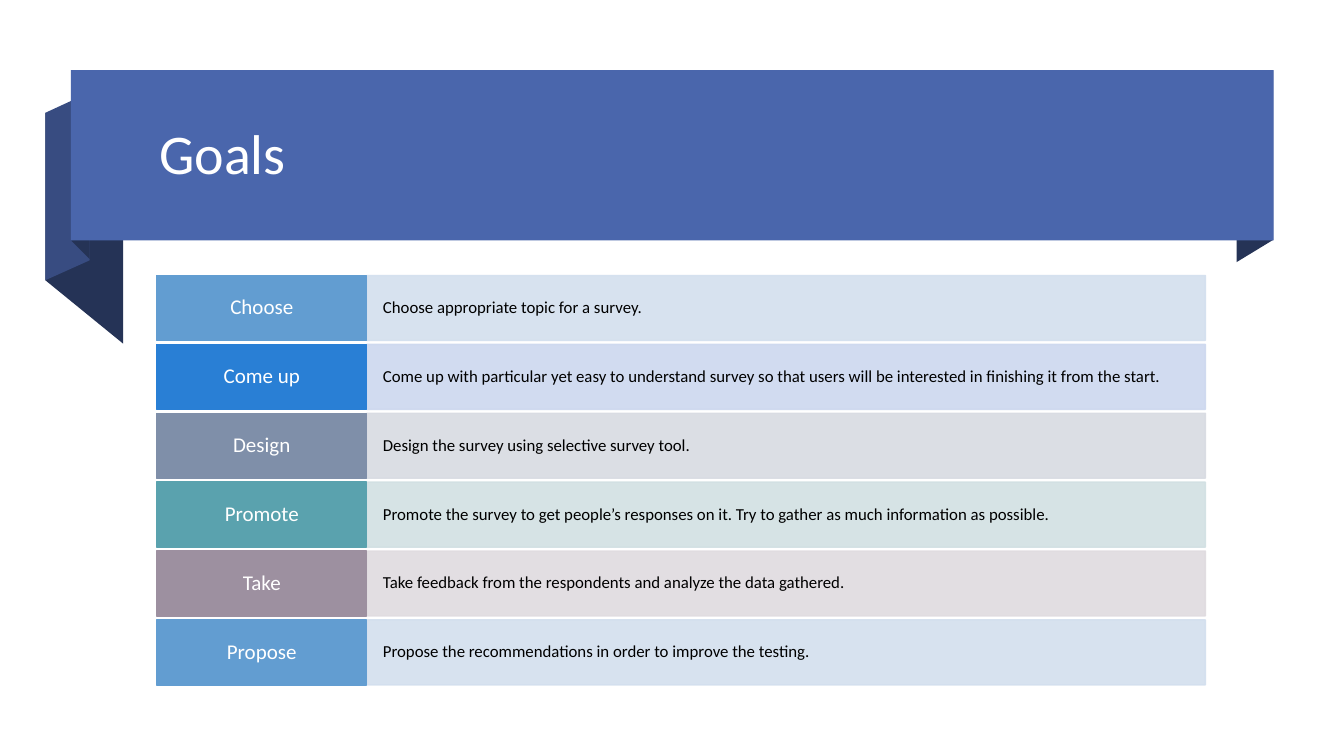
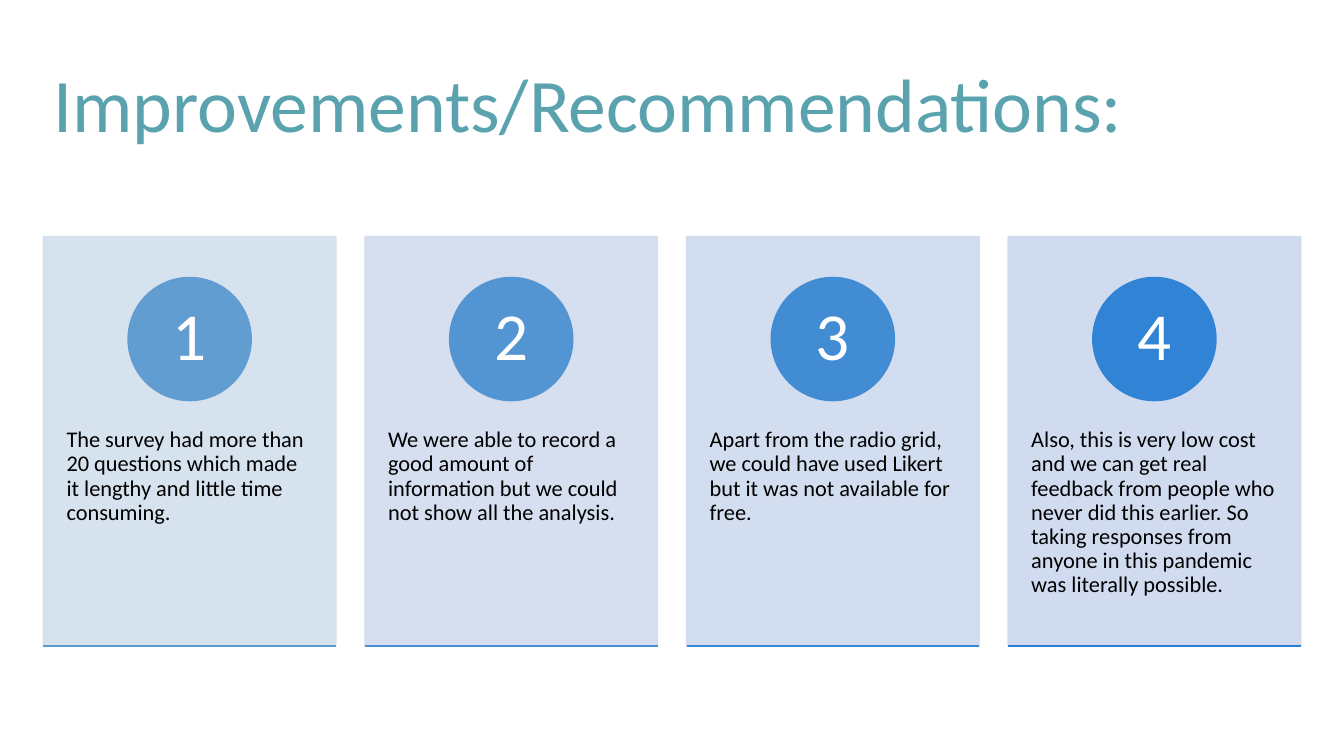
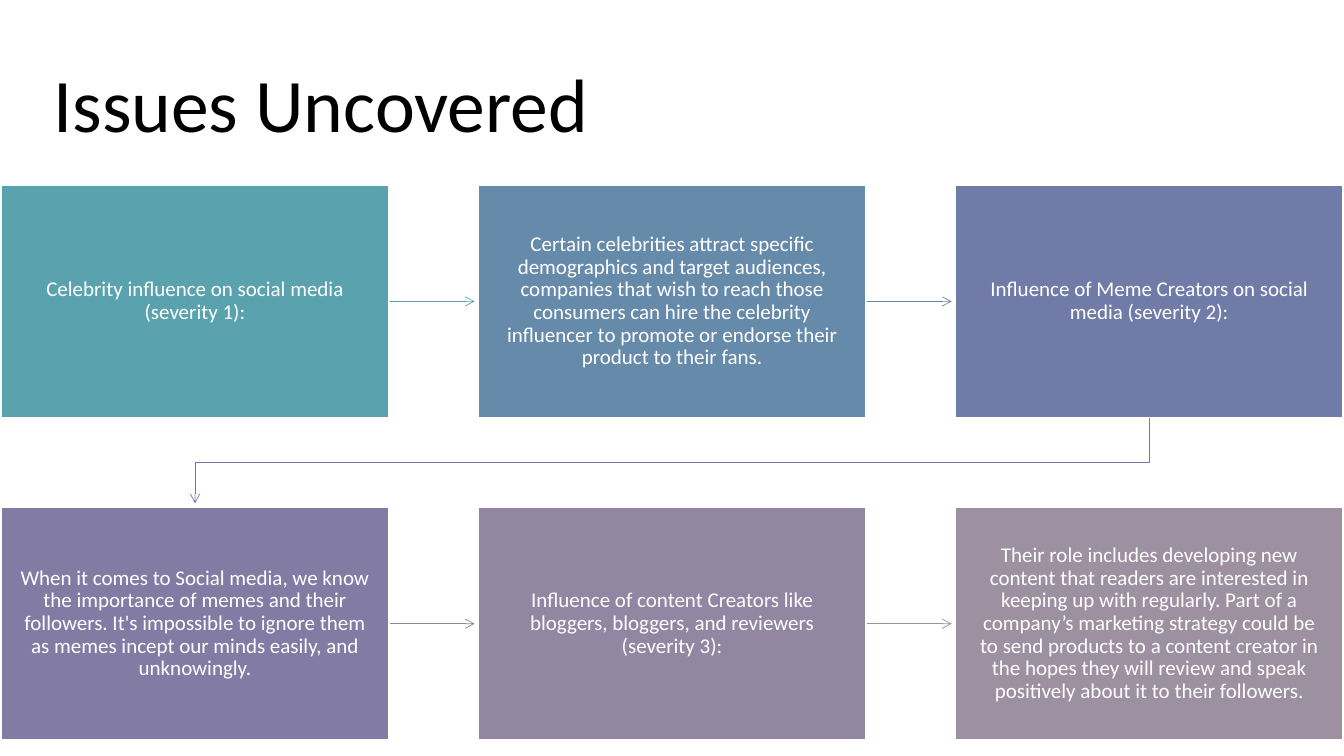
from lxml import etree
from pptx import Presentation
from pptx.dml import color as dml
from pptx.enum import shapes, text
from pptx.oxml import ns
from pptx.util import Pt

HUES = {
    "white": "FFFFFF", "black": "000000",
    "bar": "4A66AC", "fold": "384C81", "dark": "253356",
    "sky": "629DD1", "blue": "297FD5", "slate": "7F8FA9",
    "teal": "5AA2AE", "mauve": "9D90A0",
    "pale sky": "D3DFEE", "pale blue": "CDD8EF", "pale slate": "D8DBE2",
    "pale teal": "D2E0E3", "pale mauve": "DFDBDF",
    "pale two": "D1DCEE", "pale three": "CFDAEF",
    "disc two": "5295D2", "disc three": "428CD3", "disc four": "3184D5",
    "base one": "5A99D1", "base two": "4A91D2", "base three": "3A88D4",
    "step two": "668AAA", "step three": "717BA7",
    "step four": "827CA4", "step five": "9386A2",
    "link two": "6885AA", "link three": "7677A6", "link four": "9083A3",
}
FONT = "Calibri"
RIBBON = [
    ("dark", [(909.4, 171.4), (883.4, 187.2), (883.4, 65.5), (909.4, 50.4)]),
    ("dark", [(88, 245.5), (32.4, 200.2), (32.4, 80.6), (88, 126)]),
    ("fold", [(64, 186), (32.4, 200.2), (32.4, 80.6), (64, 66)]),
    ("dark", [(64, 185), (51, 172), (51, 50.4), (64, 64)]),
]
GOALS = [
    ("Choose", "Choose appropriate topic for a survey.", "sky"),
    ("Come up", "Come up with particular yet easy to understand survey so that users "
     "will be interested in finishing it from the start.", "blue"),
    ("Design", "Design the survey using selective survey tool.", "slate"),
    ("Promote", "Promote the survey to get people’s responses on it. Try to gather "
     "as much information as possible.", "teal"),
    ("Take", "Take feedback from the respondents and analyze the data gathered.", "mauve"),
    ("Propose", "Propose the recommendations in order to improve the testing.", "sky"),
]
CARDS = [
    ("The survey had more than 20 questions which made it lengthy and little time "
     "consuming.", "pale sky", "sky", "base one"),
    ("We were able to record a good amount of information but we could not show all "
     "the analysis.", "pale two", "disc two", "base two"),
    ("Apart from the radio grid, we could have used Likert but it was not available "
     "for free.", "pale three", "disc three", "base three"),
    ("Also, this is very low cost and we can get real feedback from people who never "
     "did this earlier. So taking responses from anyone in this pandemic was literally "
     "possible.", "pale blue", "disc four", "blue"),
]
STEPS = [
    ("Celebrity influence on social media (severity 1):", "teal", "teal"),
    ("Certain celebrities attract specific demographics and target audiences, companies "
     "that wish to reach those consumers can hire the celebrity influencer to promote or "
     "endorse their product to their fans.", "step two", "link two"),
    ("Influence of Meme Creators on social media (severity 2):", "step three", "link three"),
    ("When it comes to Social media, we know the importance of memes and their followers. "
     "It's impossible to ignore them as memes incept our minds easily, and unknowingly.",
     "step four", "link four"),
    ("Influence of content Creators like bloggers, bloggers, and reviewers (severity 3):",
     "step five", "mauve"),
    ("Their role includes developing new content that readers are interested in keeping up "
     "with regularly. Part of a company’s marketing strategy could be to send products to a "
     "content creator in the hopes they will review and speak positively about it to their "
     "followers.", "mauve", None),
]


def shade(name):
    return dml.RGBColor.from_string(HUES[name])


def write(frame, words, size, hue="white", align="LEFT", anchor="MIDDLE",
          pad=(7.2, 3.6, 7.2, 3.6)):
    frame.word_wrap = True
    frame.auto_size = text.MSO_AUTO_SIZE.NONE
    frame.vertical_anchor = getattr(text.MSO_ANCHOR, anchor)
    frame.margin_left, frame.margin_top, frame.margin_right, frame.margin_bottom = map(Pt, pad)
    para = frame.paragraphs[0]
    para.alignment = getattr(text.PP_ALIGN, align)
    para.line_spacing = 0.9
    run = para.add_run()
    run.text = words
    run.font.name = FONT
    run.font.size = Pt(size)
    run.font.color.rgb = shade(hue)


def paint(shape, fill, edge=None, clear=False):
    shape.shadow.inherit = False
    shape.fill.solid()
    shape.fill.fore_color.rgb = shade(fill)
    if edge:
        shape.line.color.rgb = shade(edge)
        shape.line.width = Pt(1)
    else:
        shape.line.fill.background()
    if clear:
        for tone in shape.element.spPr.iter(ns.qn("a:srgbClr")):
            etree.SubElement(tone, ns.qn("a:alpha"), val="90000")


def block(slide, kind, box, fill, edge=None, clear=False):
    shape = slide.shapes.add_shape(getattr(shapes.MSO_SHAPE, kind), *map(Pt, box))
    paint(shape, fill, edge, clear)
    return shape


def trace(slide, spots, close):
    spots = [(Pt(x), Pt(y)) for x, y in spots]
    pen = slide.shapes.build_freeform(*spots[0])
    pen.add_line_segments(spots[1:], close=close)
    return pen.convert_to_shape()


def stroke(shape, hue, width, arrow=False):
    shape.line.color.rgb = shade(hue)
    shape.line.width = Pt(width)
    if arrow:
        line = shape.element.spPr.find(ns.qn("a:ln"))
        etree.SubElement(line, ns.qn("a:tailEnd"), type="arrow")


def rule(slide, start, end, hue, width, arrow=False):
    line = slide.shapes.add_connector(shapes.MSO_CONNECTOR.STRAIGHT, *map(Pt, start + end))
    stroke(line, hue, width, arrow)
    etree.SubElement(line.element.spPr, ns.qn("a:effectLst"))


def bend(slide, spots, hue):
    line = trace(slide, spots, False)
    line.shadow.inherit = False
    line.fill.background()
    stroke(line, hue, 0.5, True)


def begin(deck, words, hue, size=54, box=(31, 25.2, 898.6, 104.4), bands=()):
    slide = deck.slides.add_slide(deck.slide_layouts[5])
    title = slide.shapes.title
    title.left, title.top, title.width, title.height = map(Pt, box)
    write(title.text_frame, words, size, hue)
    for fill, spots in bands:
        paint(trace(slide, spots, True), fill)
    if bands:
        block(slide, "RECTANGLE", (50.6, 50.2, 859.2, 121.6), "bar")
        slide.shapes.element.append(title.element)
    return slide


def goals(deck):
    slide = begin(deck, "Goals", "white", 40, (106.6, 59.8, 787.7, 104.4), RIBBON)
    left, top, wide, high, step = 112, 196.8, 150, 46.4, 49.2
    for row, (label, words, hue) in enumerate(GOALS):
        y = top + row * step
        note = block(slide, "RECTANGLE", (left + wide, y, 599, high),
                     "pale " + hue, "pale " + hue, True)
        write(note.text_frame, words, 12, "black", pad=(11.5,) * 4)
        tag = block(slide, "RECTANGLE", (left, y, wide, high), hue, hue)
        write(tag.text_frame, label, 15, align="CENTER", pad=(8, 4, 8, 4))


def cards(deck):
    slide = begin(deck, "Improvements/Recommendations:", "teal")
    left, top, wide, high, step, disc = 31, 169, 209, 292.4, 229.7, 88
    for col, (words, pale, hue, base) in enumerate(CARDS):
        x = left + col * step
        card = block(slide, "RECTANGLE", (x, top, wide, high), pale, pale, True)
        write(card.text_frame, words, 16, "black", anchor="TOP", pad=(16.5, 137, 16.5, 26))
        ring = block(slide, "OVAL", (x + (wide - disc) / 2, top + 29.2, disc, disc), hue, hue)
        write(ring.text_frame, str(col + 1), 48, align="CENTER", pad=(6.5, 0.7, 6.5, 0.7))
        rule(slide, (x, top + high), (x + wide, top + high), base, 1)


def issues(deck):
    slide = begin(deck, "Issues Uncovered", "black")
    left, top, wide, high, across, down, cols = 0.8, 132.2, 277, 166.2, 340.8, 230.2, 3
    for spot, (words, hue, link) in enumerate(STEPS):
        row, col = divmod(spot, cols)
        x, y = left + col * across, top + row * down
        if link and col < cols - 1:
            mid = y + high / 2
            rule(slide, (x + wide, mid), (x + wide + 61.2, mid), link, 0.5, True)
        elif link:
            start, end = x + wide / 2, left + wide / 2
            low, turn = y + high, y + (high + down) / 2
            bend(slide, [(start, low), (start, turn), (end, turn), (end, low + 61.2)], link)
        box = block(slide, "RECTANGLE", (x, y, wide, high), hue, "white")
        write(box.text_frame, words, 15, align="CENTER", pad=(13.6, 14.3, 13.6, 14.3))


def main():
    deck = Presentation()
    deck.slide_width, deck.slide_height = Pt(960), Pt(540)
    goals(deck)
    cards(deck)
    issues(deck)
    deck.save("out.pptx")


if __name__ == "__main__":
    main()
